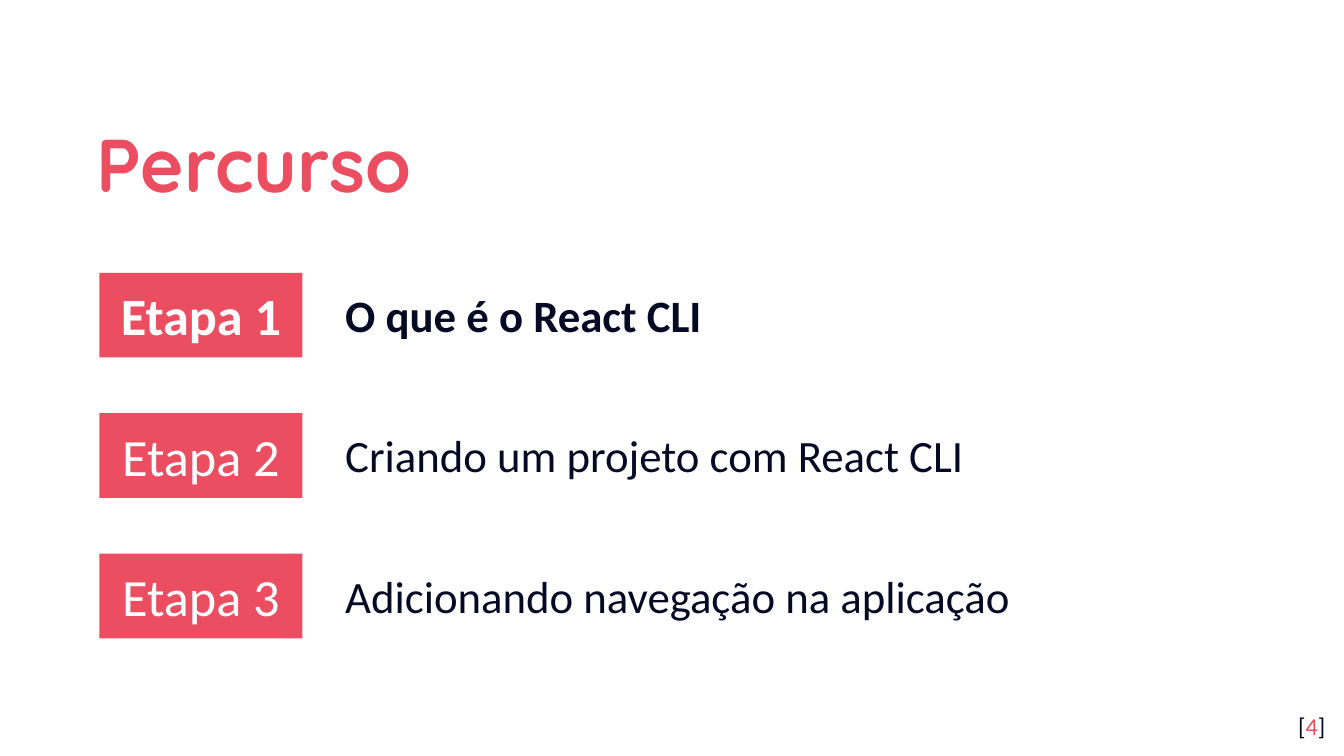
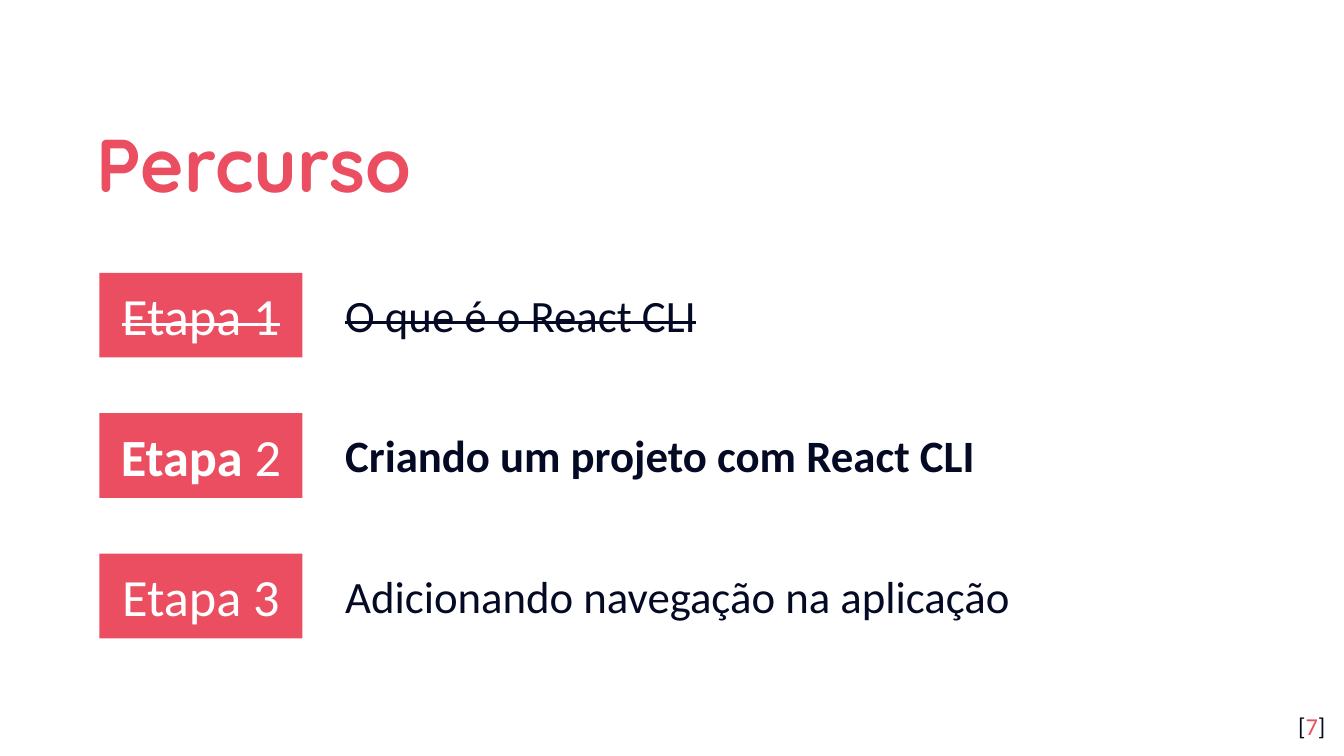
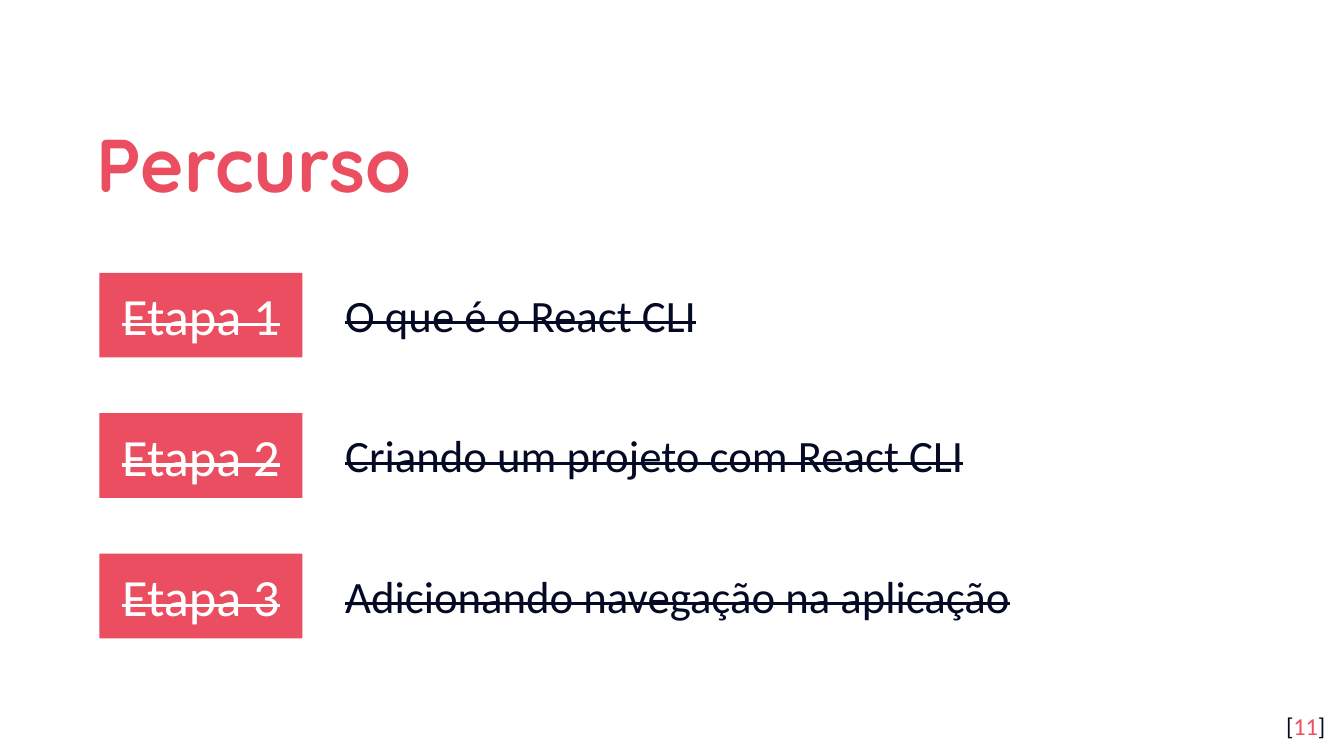
from pptx import Presentation
from pptx.dml.color import RGBColor
from pptx.enum.shapes import MSO_SHAPE
from pptx.enum.text import MSO_ANCHOR, MSO_AUTO_SIZE, PP_ALIGN
from pptx.util import Inches, Pt

STEPS = [
    ("1", "O que é o React CLI"),
    ("2", "Criando um projeto com React CLI"),
    ("3", "Adicionando navegação na aplicação"),
]
CURRENT_STEPS = {"4": 0, "7": 1, "11": 3}
FIRST_ROW, ROW_PITCH = 20.3, 10.45


def color(hex_string):
    """Turn a hex string into a colour."""
    return RGBColor.from_string(hex_string)


class RouteDeck:
    """Hold the style and the current slide of the course route."""

    CELL = Inches(0.1)
    CORAL, NAVY, WHITE = "EA4E60", "040A24", "FFFFFF"
    TITLE_FONT, BODY_FONT = "Quicksand", "Calibri"

    def __init__(self):
        """Open a wide presentation."""
        self.presentation = Presentation()
        self.presentation.slide_width = Inches(10)
        self.presentation.slide_height = Inches(5.625)
        self.slide = None

    def grid(self, *cells):
        """Convert grid columns and rows to lengths."""
        return [round(cell * self.CELL) for cell in cells]

    def frame(self, shape, inset=0.1, anchor=MSO_ANCHOR.MIDDLE):
        """Set wrapping, insets and anchor, and return the text frame."""
        text_frame = shape.text_frame
        text_frame.word_wrap = True
        text_frame.auto_size = MSO_AUTO_SIZE.NONE
        text_frame.vertical_anchor = anchor
        text_frame.margin_left = text_frame.margin_right = Inches(0.1)
        text_frame.margin_top = text_frame.margin_bottom = Inches(inset)
        return text_frame

    def format_run(self, run, size, hex_string, name=BODY_FONT, bold=False, strike=False):
        """Apply the font settings to one run."""
        font = run.font
        font.name, font.size, font.bold = name, Pt(size), bold
        font.color.rgb = color(hex_string)
        if strike:
            run._r.get_or_add_rPr().set("strike", "sngStrike")

    def add_slide(self, title):
        """Start a slide with its title."""
        self.slide = self.presentation.slides.add_slide(self.presentation.slide_layouts[5])
        shape = self.slide.shapes.title
        shape.left, shape.top, shape.width, shape.height = self.grid(6.2, 7, 81, 9.2)
        paragraph = self.frame(shape).paragraphs[0]
        paragraph.text = title
        paragraph.alignment = PP_ALIGN.LEFT
        paragraph.line_spacing = 1.15
        self.format_run(paragraph.runs[0], 40, self.CORAL, self.TITLE_FONT, bold=True)

    def label(self, row, number, bold, bold_number, strike):
        """Add the coloured label of a step."""
        shape = self.slide.shapes.add_shape(
            MSO_SHAPE.RECTANGLE, *self.grid(7.4, row, 15.1, 6.3))
        shape.shadow.inherit = False
        shape.fill.solid()
        shape.fill.fore_color.rgb = color(self.CORAL)
        shape.line.fill.background()
        paragraph = self.frame(shape).paragraphs[0]
        paragraph.alignment = PP_ALIGN.CENTER
        paragraph.level = 1
        properties = paragraph._p.get_or_add_pPr()
        properties.set("marL", "0")
        properties.set("indent", "0")
        if bold == bold_number:
            paragraph.text = f"Etapa {number}"
        else:
            paragraph.text = "Etapa "
            paragraph.add_run().text = number
        for run, weight in zip(paragraph.runs, (bold, bold_number)):
            self.format_run(run, 28, self.WHITE, bold=weight, strike=strike)

    def description(self, row, text, width, height, hanging, bold, strike):
        """Add the description beside a label."""
        shape = self.slide.shapes.add_textbox(*self.grid(24.7, row + 0.6, width, height))
        paragraph = self.frame(shape, 0.05, MSO_ANCHOR.TOP).paragraphs[0]
        paragraph.text = text
        if hanging:
            properties = paragraph._p.get_or_add_pPr()
            properties.set("marL", str(Inches(0.5)))
            properties.set("indent", str(-Inches(0.5)))
        self.format_run(paragraph.runs[0], 24, self.NAVY, bold=bold, strike=strike)

    def page_number(self, number):
        """Add the page number in brackets."""
        shape = self.slide.shapes.add_textbox(*self.grid(93.6, 51.9, 6, 4.3))
        paragraph = self.frame(shape, anchor=MSO_ANCHOR.TOP).paragraphs[0]
        paragraph.alignment = PP_ALIGN.RIGHT
        for text, hex_string in (("[", self.NAVY), (number, self.CORAL), ("]", self.NAVY)):
            run = paragraph.add_run()
            run.text = text
            self.format_run(run, 13, hex_string)


def main():
    """Build one route slide for each stage of the course."""
    deck = RouteDeck()
    for page, current in CURRENT_STEPS.items():
        deck.add_slide("Percurso")
        for index, (number, text) in enumerate(STEPS):
            row = FIRST_ROW + index * ROW_PITCH
            active, done = index == current, index < current
            width, height = (61.5, 10.6) if index == len(STEPS) - 1 else (67.5, 5)
            deck.label(row, number, active, active and index == 0, done)
            deck.description(row, text, width, height, index > 0, active, done)
        deck.page_number(page)
    deck.presentation.save("out.pptx")


if __name__ == "__main__":
    main()
